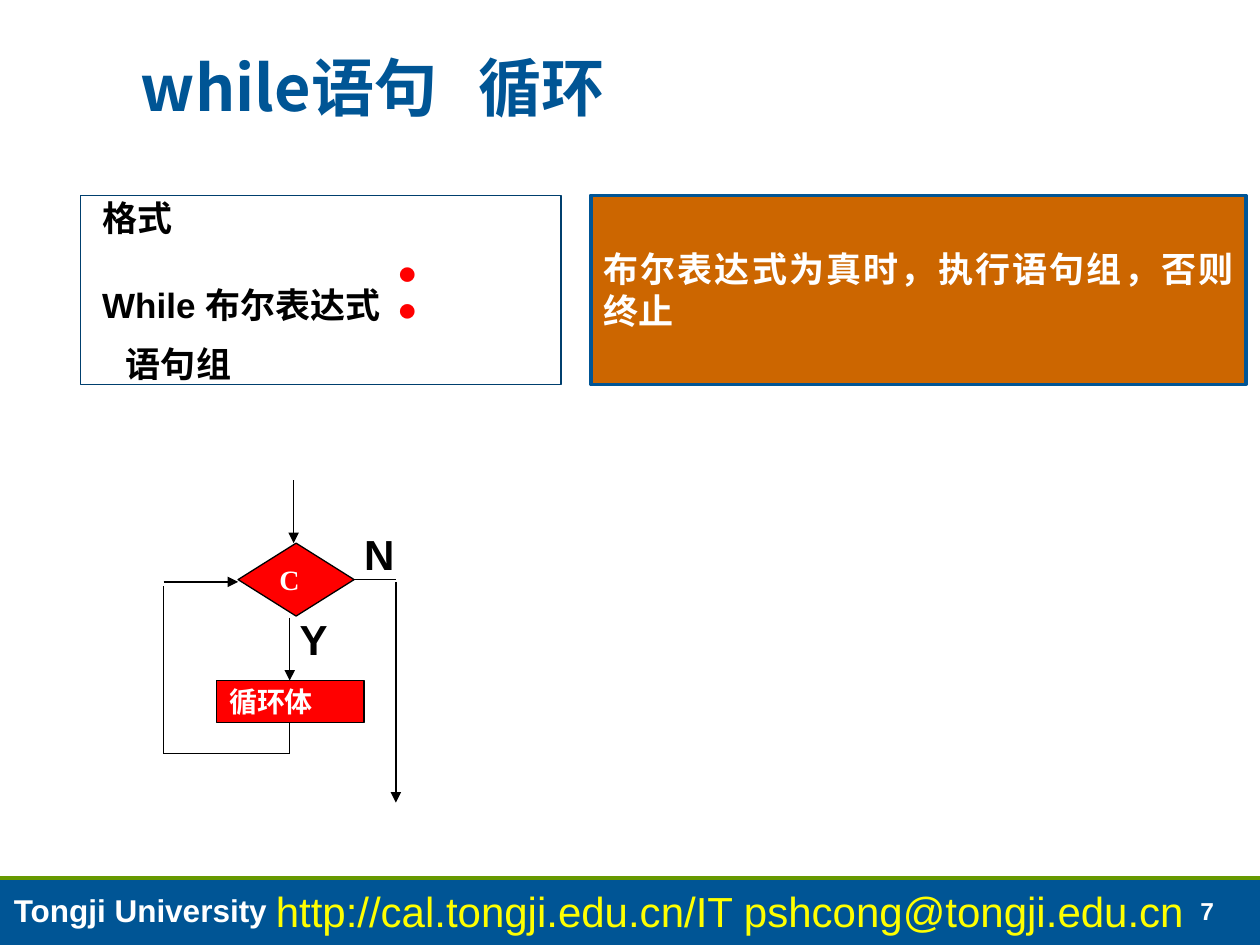
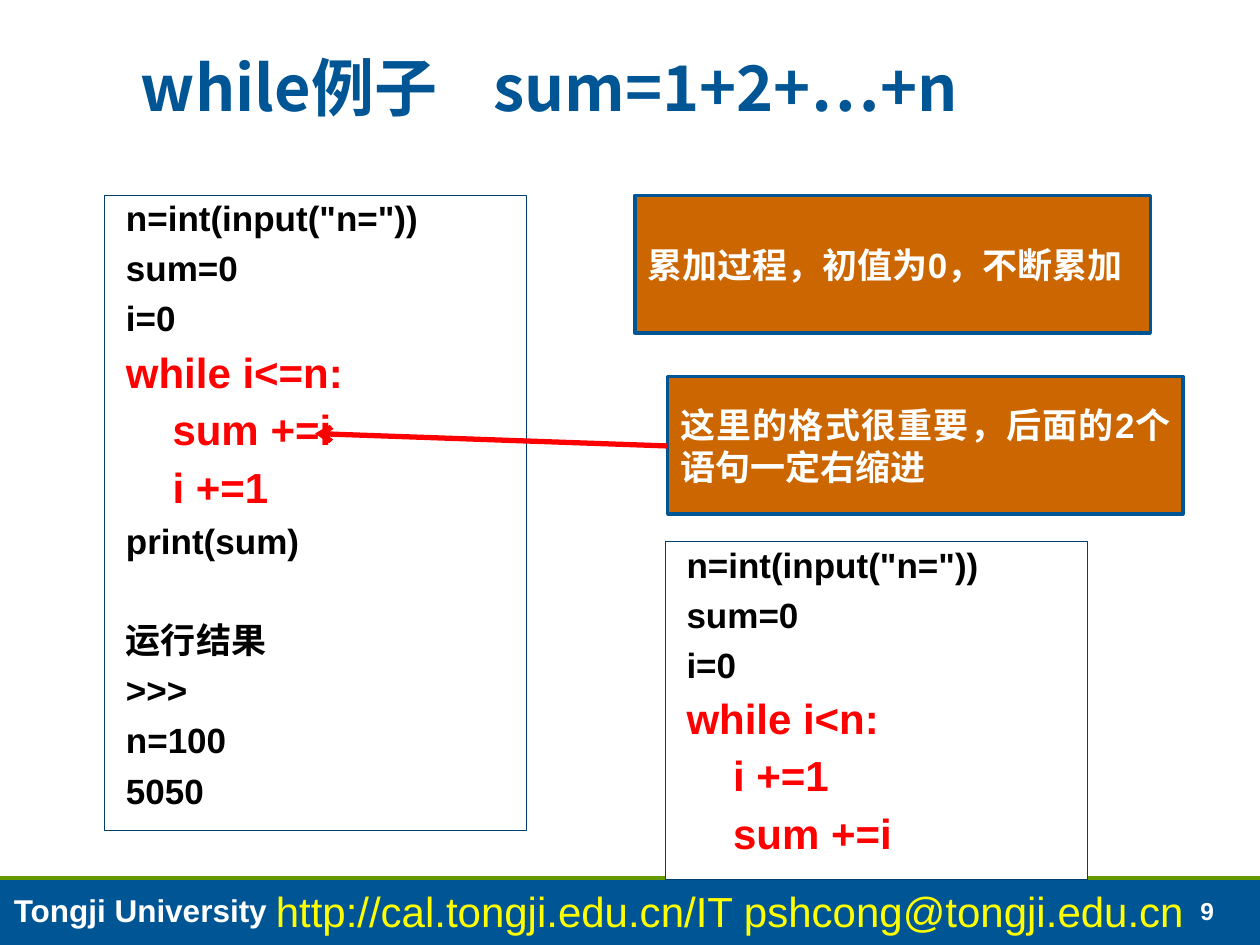
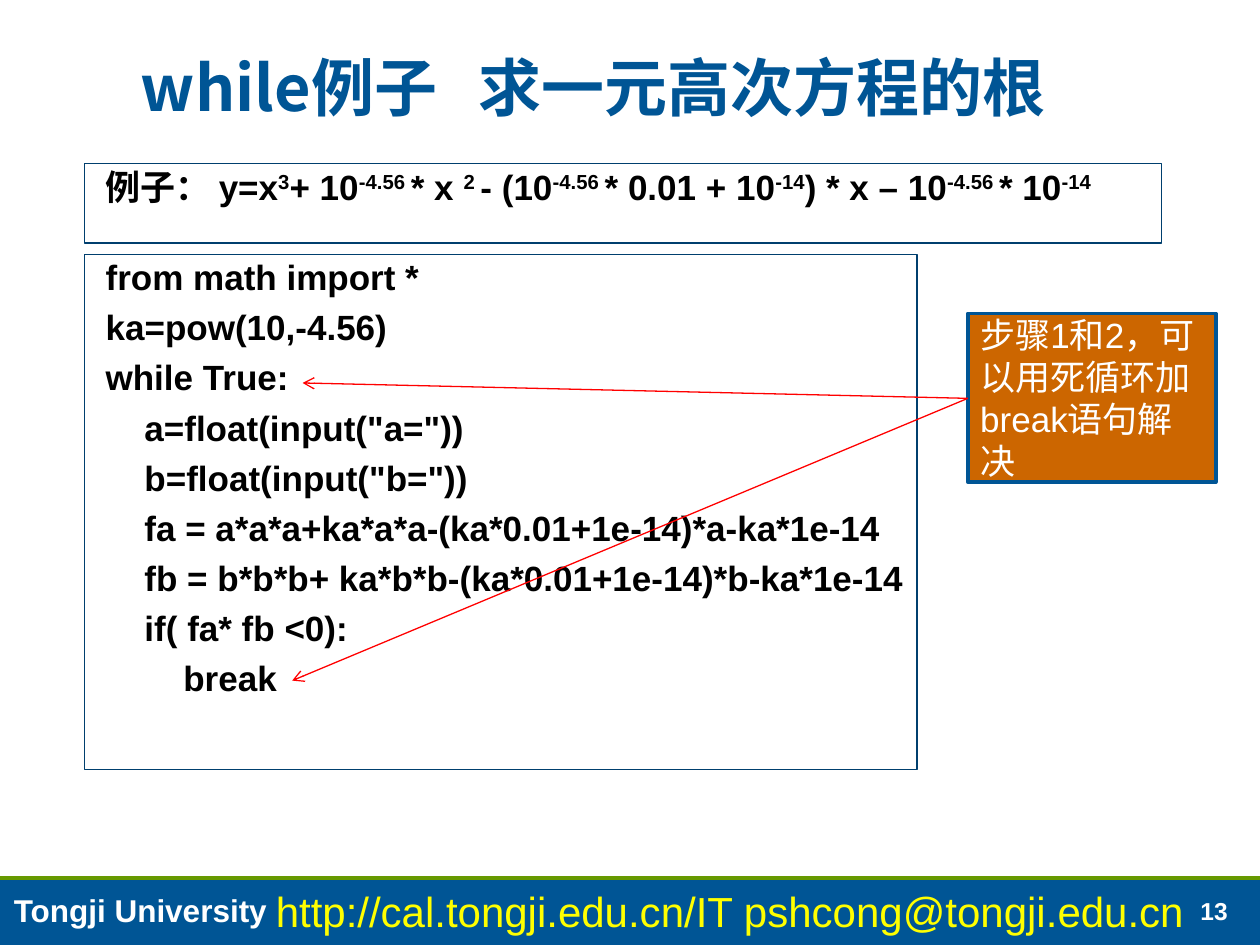
from lxml.etree import SubElement
from pptx import Presentation
from pptx.dml.color import RGBColor
from pptx.enum.shapes import MSO_CONNECTOR, MSO_SHAPE
from pptx.enum.text import MSO_ANCHOR, MSO_AUTO_SIZE, PP_ALIGN
from pptx.oxml.ns import qn
from pptx.util import Cm, Pt

BLUE, NAVY, GREEN, ORANGE = "005595", "003F6E", "669900", "CC6600"
RED, YELLOW, WHITE, BLACK = "FF0000", "FFFF00", "FFFFFF", "000000"
CJK_FONT = "Noto Sans CJK SC"
color_of = RGBColor.from_string

CODE = dict(size=20, bold=True, fill=WHITE, outline=NAVY, line_spacing=0.9, before=7, indent=0.18)
NOTE = dict(size=20, bold=True, color=WHITE, fill=ORANGE, outline=BLUE, outline_width=2,
            anchor=MSO_ANCHOR.MIDDLE, align=PP_ALIGN.JUSTIFY)
FLOW = dict(size=16, bold=True, color=WHITE, font="Times New Roman", fill=RED, outline=BLACK,
            anchor=MSO_ANCHOR.MIDDLE)
LABEL = dict(size=24, bold=True, wrap=False)
LOOP = dict(size=24, color=RED)


def write(shape, paragraphs, fill=None, outline=None, outline_width=0.75, wrap=True,
          anchor=MSO_ANCHOR.TOP, align=PP_ALIGN.LEFT, line_spacing=None, tab=None, **base):
    """Fill a shape with paragraphs, each a string or a list of (text, overrides) runs."""
    shape.shadow.inherit = False
    if fill:
        shape.fill.solid()
        shape.fill.fore_color.rgb = color_of(fill)
    if outline:
        shape.line.color.rgb = color_of(outline)
        shape.line.width = Pt(outline_width)
    frame = shape.text_frame
    frame.auto_size = MSO_AUTO_SIZE.NONE
    frame.word_wrap = wrap
    frame.vertical_anchor = anchor
    for index, runs in enumerate(paragraphs):
        if isinstance(runs, str):
            runs = [(runs, {})]
        paragraph = frame.add_paragraph() if index else frame.paragraphs[0]
        paragraph.alignment = align
        paragraph.line_spacing = line_spacing
        layout = base | runs[0][1]
        paragraph.space_before = Pt(layout.get("before", 0) if index else 0)
        properties = paragraph._p.get_or_add_pPr()
        properties.set("marL", str(Cm(layout.get("indent", 0))))
        if tab:
            stops = SubElement(properties, qn("a:tabLst"))
            SubElement(stops, qn("a:tab"), pos=str(Cm(tab)), algn="l")
        for text, overrides in runs:
            style = base | overrides
            run = paragraph.add_run()
            run.text = text
            run.font.size = Pt(style["size"])
            run.font.bold = style.get("bold", False)
            run.font.name = style.get("font", "Arial")
            run.font.color.rgb = color_of(style.get("color", BLACK))
            run_properties = run._r.get_or_add_rPr()
            SubElement(run_properties, qn("a:ea"), typeface=CJK_FONT)
            if style.get("baseline"):
                run_properties.set("baseline", str(style["baseline"]))


def connect(slide, start, end, color=BLACK, width=0.75, head=None):
    connector = slide.shapes.add_connector(MSO_CONNECTOR.STRAIGHT, *map(Cm, start + end))
    connector.line.color.rgb = color_of(color)
    connector.line.width = Pt(width)
    if head:
        SubElement(connector.line._get_or_add_ln(), qn("a:tailEnd"), type=head)
    SubElement(connector._element.spPr, qn("a:effectLst"))


presentation = Presentation()
presentation.slide_width, presentation.slide_height = Cm(25.4), Cm(19.05)

# Title, footer band and page number of every slide
slides = []
for title, tab, number in [
    ("while语句\t循环", 6.8, "7"),
    ("while例子\tsum=1+2+…+n", 7.1, "9"),
    ("while例子\t求一元高次方程的根", 6.8, "13"),
]:
    slide = presentation.slides.add_slide(presentation.slide_layouts[5])
    slides.append(slide)
    band = slide.shapes.add_shape(MSO_SHAPE.RECTANGLE, *map(Cm, (0, 17.7, 25.4, 1.35)))
    write(band, [], fill=BLUE)
    band.line.fill.background()
    connect(slide, (0, 17.7), (25.4, 17.7), GREEN, 2)
    for text, box, style in [
        (number, (23.95, 17.93, 1.35, 0.86),
         dict(size=14, bold=True, color=WHITE, anchor=MSO_ANCHOR.BOTTOM, wrap=False)),
        ("Tongji University", (0.03, 17.83, 8.92, 1.02), dict(size=18, bold=True, color=WHITE)),
        ("http://cal.tongji.edu.cn/IT pshcong@tongji.edu.cn", (5.31, 17.73, 19.61, 1.27),
         dict(size=24, color=YELLOW)),
    ]:
        write(slide.shapes.add_textbox(*map(Cm, box)), [text], **style)
    heading = slide.shapes.title
    heading.left, heading.top, heading.width, heading.height = map(Cm, (1.7, 0.94, 22.17, 1.73))
    heading.text_frame.margin_left = Cm(1.14)
    write(heading, [title], size=36, bold=True, color=BLUE, font=CJK_FONT,
          anchor=MSO_ANCHOR.BOTTOM, line_spacing=0.95, tab=tab)

syntax_slide, sum_slide, root_slide = slides

# Text of the boxes
syntax = ["格式",
          [("While 布尔表达式 ", {}), ("：", dict(size=44, color=RED))],
          [("语句组", dict(indent=0.66))]]
setup = ['n=int(input("n="))', "sum=0", "i=0"]
sum_code = setup + [[(line, LOOP)] for line in ("while i<=n:", "    sum +=i", "    i +=1")]
sum_code += ["print(sum)", [("运行结果", dict(before=35))], ">>>", "n=100", "5050"]
other_code = setup + [[(line, LOOP)] for line in ("while i<n:", "    i +=1", "    sum +=i")]

# Every second part of the formula is an exponent
formula_parts = ["例子： y=x", "3", "+ 10", "-4.56 ", "* x ", "2 ", "- (10", "-4.56 ",
                 "* 0.01 + 10", "-14", ") * x – 10", "-4.56 ", "* 10", "-14"]
formula = [(part, dict(baseline=30000 * (index % 2)))
           for index, part in enumerate(formula_parts)]
root_code = [
    "from math import *",
    "ka=pow(10,-4.56)",
    "while True:",
    '    a=float(input("a="))',
    '    b=float(input("b="))',
    "    fa = a*a*a+ka*a*a-(ka*0.01+1e-14)*a-ka*1e-14",
    "    fb = b*b*b+ ka*b*b-(ka*0.01+1e-14)*b-ka*1e-14",
    "    if( fa* fb <0):",
    "        break",
]

# Code boxes, notes and flowchart nodes
RECTANGLE, DECISION = MSO_SHAPE.RECTANGLE, MSO_SHAPE.FLOWCHART_DECISION
for slide, kind, box, paragraphs, style in [
    (syntax_slide, RECTANGLE, (1.63, 3.94, 9.68, 3.81), syntax, CODE),
    (syntax_slide, RECTANGLE, (11.91, 3.94, 13.21, 3.81),
     ["布尔表达式为真时，执行语句组，否则终止"], NOTE),
    (syntax_slide, DECISION, (4.8, 10.95, 2.34, 1.47), ["C"], FLOW),
    (syntax_slide, RECTANGLE, (4.37, 13.72, 2.97, 0.84), ["循环体"], FLOW),
    (sum_slide, RECTANGLE, (2.11, 3.94, 8.51, 12.8), sum_code, CODE),
    (sum_slide, RECTANGLE, (13.46, 7.59, 10.39, 2.77),
     ["这里的格式很重要，后面的2个语句一定右缩进"], NOTE),
    (sum_slide, RECTANGLE, (12.8, 3.94, 10.39, 2.77), ["累加过程，初值为0，不断累加"], NOTE),
    (sum_slide, RECTANGLE, (13.41, 10.92, 8.51, 6.81), other_code, CODE),
    (root_slide, RECTANGLE, (1.7, 3.3, 21.72, 1.6), [formula], CODE),
    (root_slide, RECTANGLE, (1.7, 5.13, 16.79, 10.39), root_code, CODE),
    (root_slide, RECTANGLE, (19.51, 6.32, 5, 3.4), ["步骤1和2，可以用死循环加break语句解决"],
     NOTE | dict(bold=False, align=PP_ALIGN.LEFT)),
]:
    write(slide.shapes.add_shape(kind, *map(Cm, box)), paragraphs, **style)

# Flowchart lines and branch labels
for start, end, head in [
    ((5.92, 9.68), (5.92, 10.95), "triangle"),
    ((5.84, 12.45), (5.84, 13.72), "triangle"),
    ((5.84, 14.55), (5.84, 15.19), None),
    ((5.84, 15.19), (3.3, 15.19), None),
    ((3.3, 15.19), (3.3, 11.81), None),
    ((3.3, 11.73), (4.8, 11.73), "triangle"),
    ((7.11, 11.68), (7.98, 11.68), None),
    ((7.98, 11.73), (7.98, 16.18), "triangle"),
]:
    connect(syntax_slide, start, end, head=head)
for text, box in [("N", (7.09, 10.52, 1.14, 1.27)), ("Y", (5.79, 12.24, 1.09, 1.27))]:
    write(syntax_slide.shapes.add_textbox(*map(Cm, box)), [text], **LABEL)

# Arrows from the notes to the code
connect(sum_slide, (13.46, 8.99), (6.35, 8.74), RED, 3, "arrow")
for target in [(6.1, 7.72), (5.89, 13.72)]:
    connect(root_slide, (19.51, 8.03), target, RED, head="arrow")

presentation.save("out.pptx")
